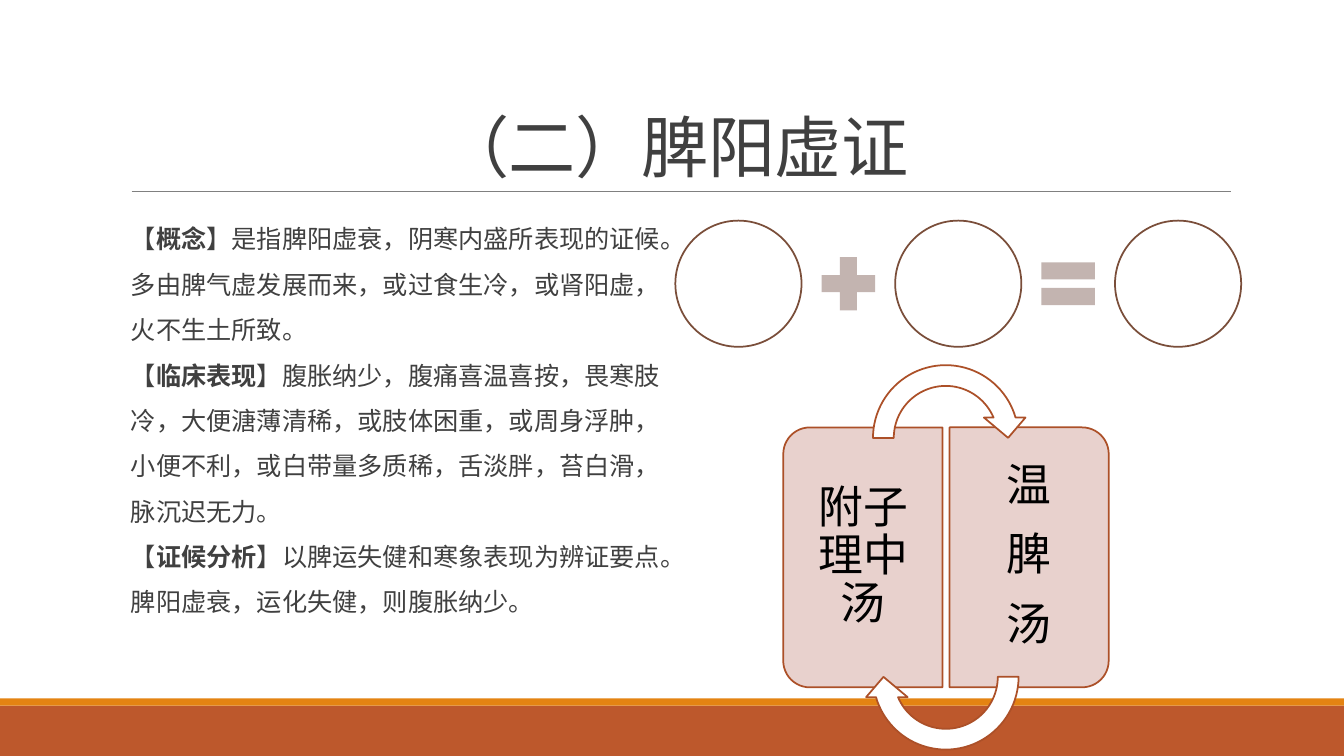
"""Build the slide on the spleen yang deficiency pattern."""
from lxml import etree
from pptx import Presentation, util as u
from pptx.dml.color import RGBColor
from pptx.enum import shapes, text
from pptx.oxml.ns import qn

COLORS = {"ink": "404040", "black": "000000", "white": "FFFFFF", "rule": "808080",
          "rust": "BD582C", "orange": "E48312", "ring": "7A4E3A",
          "sign": "C3B4B0", "panel": "E8D1CD", "edge": "AC5028"}
LATIN, CJK = "Calibri", "Noto Sans CJK SC"

TITLE = "（二）脾阳虚证"
SECTIONS = [
    ("概念", "是指脾阳虚衰，阴寒内盛所表现的证候。多由脾气虚发展而来，或过食生冷，或肾阳虚，火不生土所致。"),
    ("临床表现", "腹胀纳少，腹痛喜温喜按，畏寒肢冷，大便溏薄清稀，或肢体困重，或周身浮肿，"
             "小便不利，或白带量多质稀，舌淡胖，苔白滑，脉沉迟无力。"),
    ("证候分析", "以脾运失健和寒象表现为辨证要点。脾阳虚衰，运化失健，则腹胀纳少。"),
]
KIND = shapes.MSO_SHAPE
EQUATION = [KIND.OVAL, KIND.MATH_PLUS, KIND.OVAL, KIND.MATH_EQUAL, KIND.OVAL]
FORMULAS = [
    {"lines": ["附子理中汤"], "left": 18.47, "turn": 270, "text_left": 19.94,
     "insets": (0.33, 0.51), "spacing": 0.9, "anchor": text.MSO_ANCHOR.MIDDLE},
    {"lines": ["温", "脾", "汤"], "left": 22.66, "turn": 90, "text_left": 23.93,
     "insets": (0.51, 0.33), "spacing": 1.0, "anchor": text.MSO_ANCHOR.TOP},
]
ARROWS = [(8.94, 0), (14.96, 180)]
ARROW_BEND = [0.125, 11.423, 204.577, 108, 0.125]


def rgb(name):
    return RGBColor.from_string(COLORS[name])


def add_figure(slide, kind, left, top, width, height, fill, line=None):
    figure = slide.shapes.add_shape(kind, *map(u.Cm, (left, top, width, height)))
    figure.shadow.inherit = False
    figure.fill.solid()
    figure.fill.fore_color.rgb = rgb(fill)
    if line:
        figure.line.color.rgb = rgb(line)
        figure.line.width = u.Pt(1.25)
    else:
        figure.line.fill.background()
    return figure


def place(box, left, top, width, height):
    box.left, box.top, box.width, box.height = map(u.Cm, (left, top, width, height))


def add_run(paragraph, words, size, color, font, bold=False):
    run = paragraph.add_run()
    run.text = words
    run.font.size, run.font.bold, run.font.name = u.Pt(size), bold, font
    run.font.color.rgb = rgb(color)
    properties = run.font._element
    properties.set("lang", "zh-CN")
    etree.SubElement(properties, qn("a:ea")).set("typeface", font)
    return properties


def add_backdrop(slide):
    add_figure(slide, KIND.RECTANGLE, 0, 17.78, 33.87, 1.27, "rust")
    add_figure(slide, KIND.RECTANGLE, 0, 17.6, 33.87, 0.18, "orange")
    rule = slide.shapes.add_connector(shapes.MSO_CONNECTOR.STRAIGHT,
                                      u.Cm(3.32), u.Cm(4.82), u.Cm(31.01), u.Cm(4.82))
    rule.line.color.rgb = rgb("rule")
    rule.line.width = u.Pt(0.5)
    etree.SubElement(rule._element.spPr, qn("a:effectLst"))


def fill_title(title):
    place(title, 3.05, 0.79, 27.94, 4.04)
    frame = title.text_frame
    frame.auto_size = text.MSO_AUTO_SIZE.NONE
    frame.vertical_anchor = text.MSO_ANCHOR.BOTTOM
    heading = frame.paragraphs[0]
    heading.alignment = text.PP_ALIGN.CENTER
    heading.line_spacing = 0.85
    add_run(heading, TITLE, 48, "ink", CJK).set("spc", "-50")


def fill_body(body):
    place(body, 3.05, 5.13, 27.94, 11.18)
    frame = body.text_frame
    frame.auto_size = text.MSO_AUTO_SIZE.NONE
    frame.margin_left = frame.margin_right = 0
    frame._txBody.bodyPr.set("numCol", "2")
    for index, (term, meaning) in enumerate(SECTIONS):
        section = frame.paragraphs[0] if index == 0 else frame.add_paragraph()
        section.line_spacing = 1.5
        section.space_before = section.space_after = u.Pt(0)
        layout = section._p.get_or_add_pPr()
        layout.set("marL", str(u.Cm(0.25)))
        layout.set("indent", "0")
        etree.SubElement(layout, qn("a:buNone"))
        for words, bold in (("【", False), (term, True), ("】" + meaning, False)):
            add_run(section, words, 18, "ink", LATIN, bold)


def add_equation(slide):
    ring, sign, pitch, left, middle = 3.18, 1.83, 2.77, 17.02, 7.15
    for index, kind in enumerate(EQUATION):
        is_ring = kind == KIND.OVAL
        size = ring if is_ring else sign
        center = left + ring / 2 + index * pitch
        add_figure(slide, kind, center - size / 2, middle - size / 2, size, size,
                   "white" if is_ring else "sign", "ring" if is_ring else None)


def add_formula(slide, formula):
    panel = add_figure(slide, KIND.ROUND_2_SAME_RECTANGLE, formula["left"], 12.04,
                       6.55, 4.01, "panel", "edge")
    panel.adjustments[0] = 0.167
    panel.rotation = formula["turn"]
    label = slide.shapes.add_textbox(u.Cm(formula["text_left"]), u.Cm(10.95),
                                     u.Cm(3.81), u.Cm(6.17))
    frame = label.text_frame
    frame.word_wrap = True
    frame.vertical_anchor = formula["anchor"]
    frame.margin_left, frame.margin_right = map(u.Cm, formula["insets"])
    frame.margin_top = frame.margin_bottom = u.Cm(0.56)
    for index, words in enumerate(formula["lines"]):
        line = frame.paragraphs[0] if index == 0 else frame.add_paragraph()
        line.alignment = text.PP_ALIGN.CENTER
        line.line_spacing = formula["spacing"]
        line.space_after = u.Pt(11.2)
        add_run(line, words, 32, "black", CJK)


def main():
    deck = Presentation()
    deck.slide_width, deck.slide_height = u.Cm(33.87), u.Cm(19.05)
    slide = deck.slides.add_slide(deck.slide_layouts[1])
    add_backdrop(slide)
    fill_title(slide.shapes.title)
    fill_body(slide.placeholders[1])
    add_equation(slide)
    for formula in FORMULAS:
        add_formula(slide, formula)
    for top, turn in ARROWS:
        arrow = add_figure(slide, KIND.CIRCULAR_ARROW, 21.74, top, 4.19, 4.19, "white", "edge")
        arrow.rotation = turn
        for index, bend in enumerate(ARROW_BEND):
            arrow.adjustments[index] = bend
    deck.save("out.pptx")


if __name__ == "__main__":
    main()
